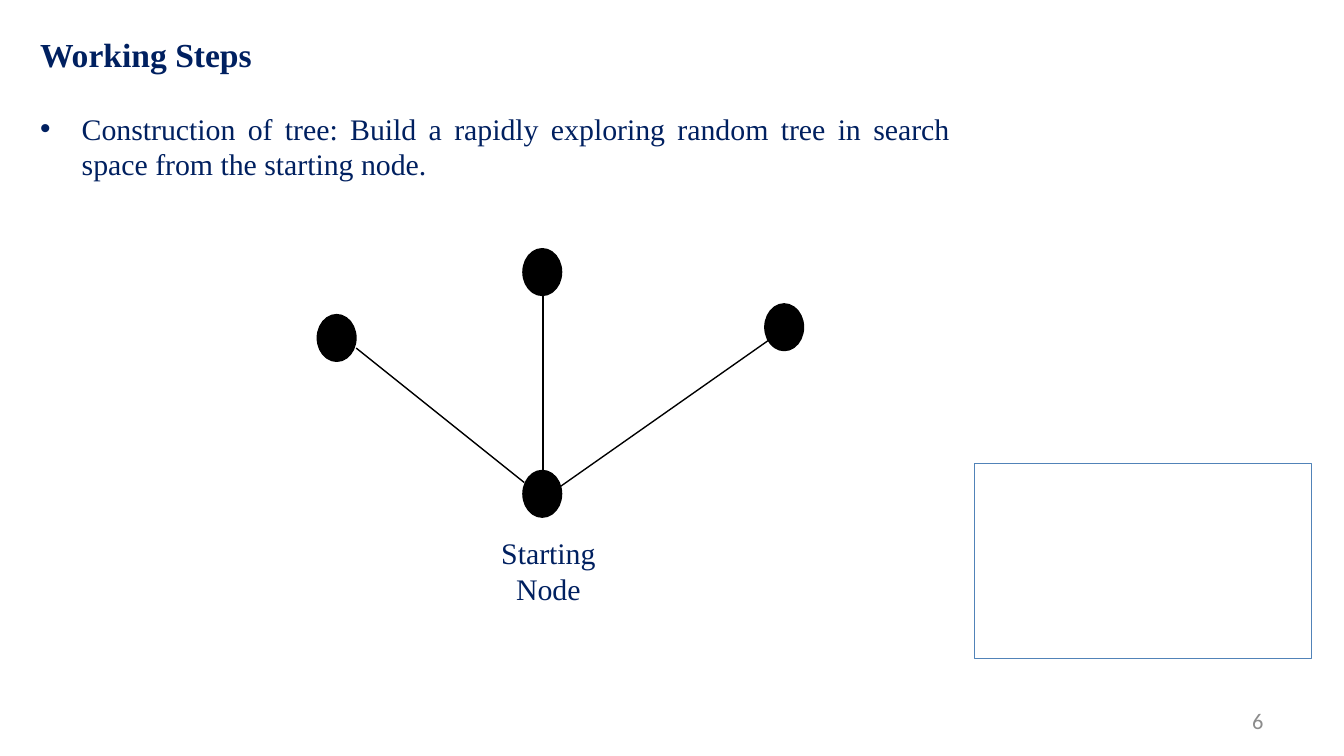
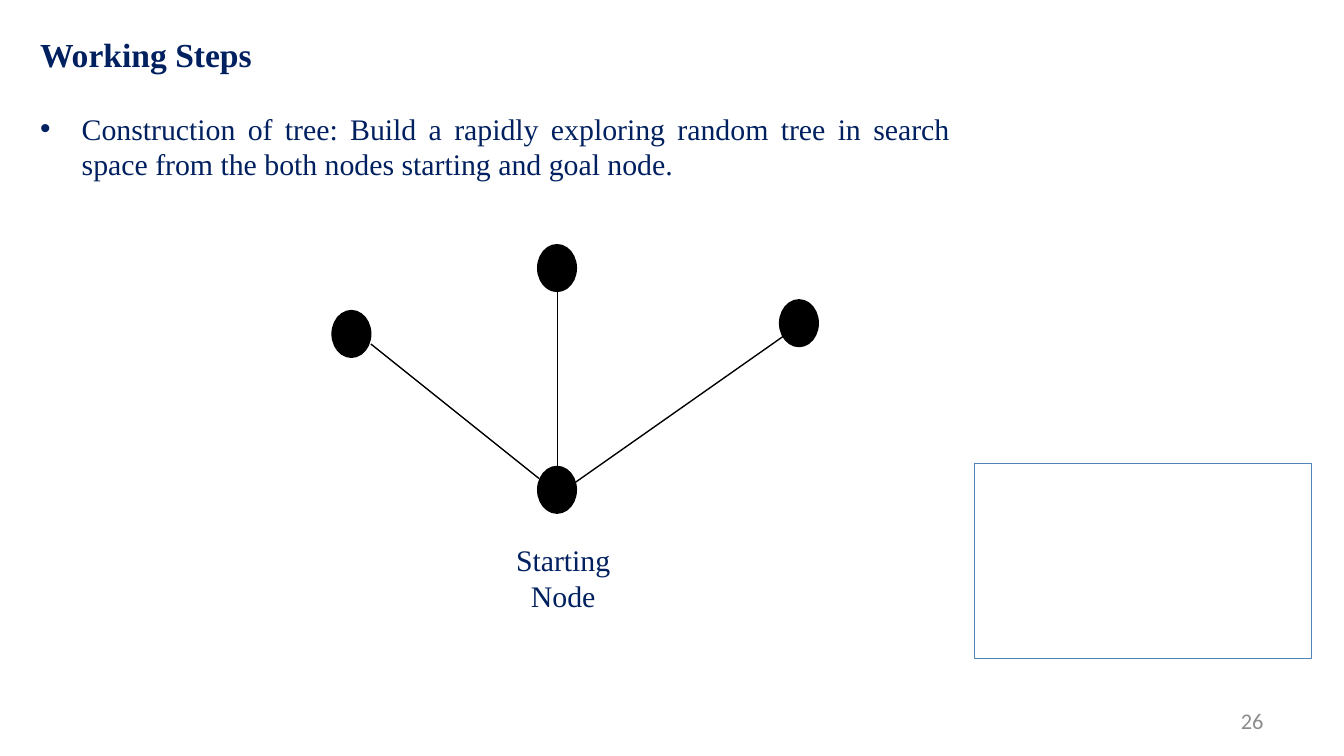
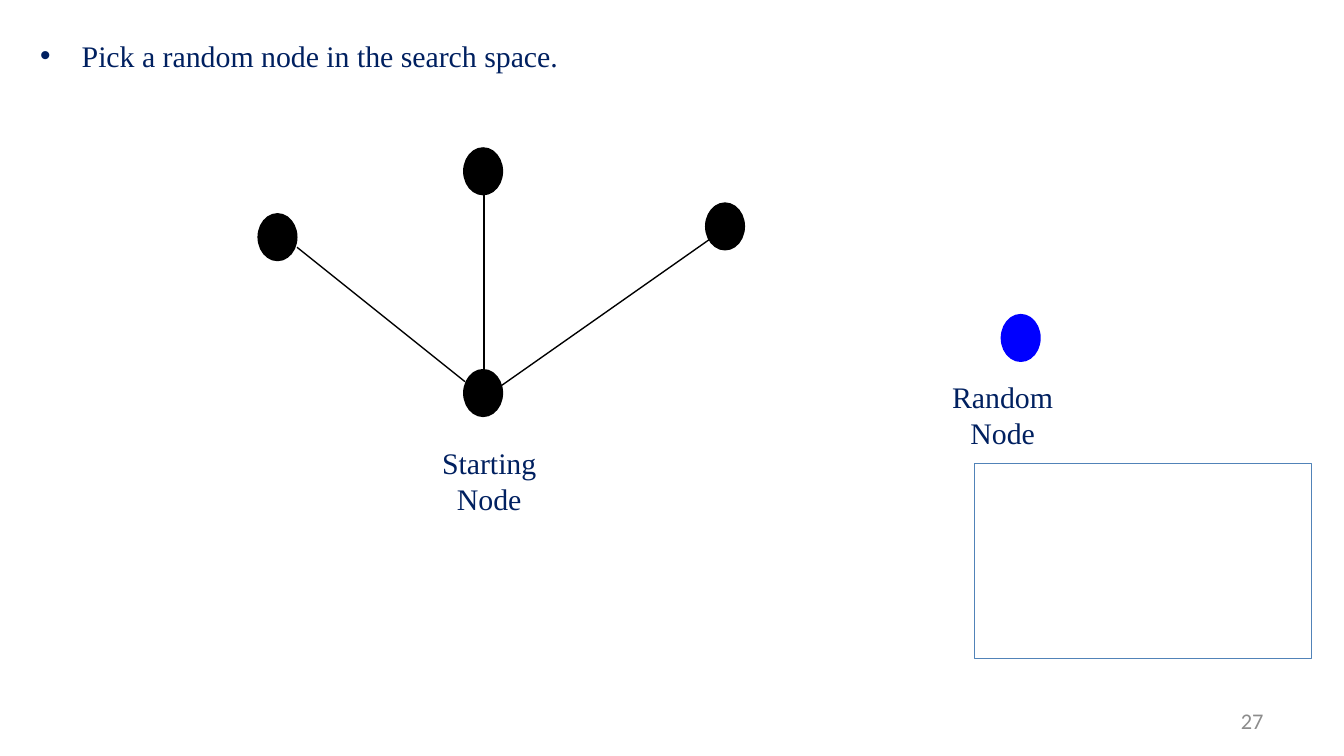
"""Build three slides on the working steps of a random tree search."""
from dataclasses import dataclass

from lxml import etree
from pptx import Presentation
from pptx import util as u
from pptx.dml.color import RGBColor
from pptx.enum import shapes, text
from pptx.oxml import ns


@dataclass(frozen=True)
class Theme:
    """Colours, fonts and type sizes shared by the slides."""
    navy: RGBColor = RGBColor(0x00, 0x20, 0x60)
    black: RGBColor = RGBColor(0x00, 0x00, 0x00)
    blue: RGBColor = RGBColor(0x00, 0x00, 0xFF)
    frame: RGBColor = RGBColor(0x51, 0x83, 0xB8)
    grey: RGBColor = RGBColor(0x8C, 0x8C, 0x8C)
    body_font: str = "Times New Roman"
    number_font: str = "Calibri"
    title_size: int = 18
    body_size: int = 16
    number_size: int = 12
    heading_gap: float = 19.5


THEME = Theme()
NODE_SIZE = (0.27, 0.33)
LABEL_HEIGHT = 0.64
BULLET_INDENT = 0.31
BRANCH_NODES = ((1.8, -1.24), (0, -1.65), (-1.53, -1.16))
BRANCH_LINES = (
    ((0.14, 0), (0.14, -1.33)),
    ((0.27, 0.11), (1.85, -1.0)),
    ((0, 0.08), (-1.25, -0.92)),
)


def inches(*lengths):
    """Convert several lengths to inches."""
    return [u.Inches(length) for length in lengths]


def format_runs(paragraph, size, color=THEME.navy, font=THEME.body_font, bold=False):
    """Apply one type style to all runs of a paragraph."""
    for run in paragraph.runs:
        run.font.size = u.Pt(size)
        run.font.color.rgb = color
        run.font.name = font
        run.font.bold = bold


def add_text_box(slide, left, top, width, height):
    """Add a wrapping text box and return its text frame."""
    frame = slide.shapes.add_textbox(*inches(left, top, width, height)).text_frame
    frame.word_wrap = True
    return frame


def add_bullet(paragraph):
    """Give a paragraph a round bullet and a hanging indent."""
    properties = paragraph._p.get_or_add_pPr()
    properties.set("marL", str(u.Inches(BULLET_INDENT)))
    properties.set("indent", str(-u.Inches(BULLET_INDENT)))
    etree.SubElement(properties, ns.qn("a:buFont")).set("typeface", "Arial")
    etree.SubElement(properties, ns.qn("a:buChar")).set("char", "•")


def add_step(slide, step, top, height, title=None):
    """Add the step text as a bullet, below a title if there is one."""
    frame = add_text_box(slide, 0.2, top, 6.97, height)
    frame.auto_size = text.MSO_AUTO_SIZE.SHAPE_TO_FIT_TEXT
    paragraph = frame.paragraphs[0]
    if title:
        paragraph.text = title
        paragraph.alignment = text.PP_ALIGN.JUSTIFY
        format_runs(paragraph, THEME.title_size, bold=True)
        paragraph = frame.add_paragraph()
        paragraph.space_before = u.Pt(THEME.heading_gap)
    paragraph.text = step
    paragraph.alignment = text.PP_ALIGN.JUSTIFY
    format_runs(paragraph, THEME.body_size)
    add_bullet(paragraph)


def add_label(slide, label, left, top, width):
    """Add a centred node label."""
    frame = add_text_box(slide, left, top, width, LABEL_HEIGHT)
    frame.auto_size = text.MSO_AUTO_SIZE.SHAPE_TO_FIT_TEXT
    frame.text = label
    paragraph = frame.paragraphs[0]
    paragraph.alignment = text.PP_ALIGN.CENTER
    format_runs(paragraph, THEME.body_size)


def add_node(slide, left, top, color=THEME.black):
    """Add a filled round node."""
    node = slide.shapes.add_shape(
        shapes.MSO_SHAPE.FLOWCHART_CONNECTOR, *inches(left, top, *NODE_SIZE))
    node.shadow.inherit = False
    node.fill.solid()
    node.fill.fore_color.rgb = color
    node.line.color.rgb = color
    node.line.width = u.Pt(2)


def add_branch_line(slide, start, end):
    """Add a thin line between two points."""
    line = slide.shapes.add_connector(
        shapes.MSO_CONNECTOR.STRAIGHT, *inches(*start, *end))
    line.line.color.rgb = THEME.black
    line.line.width = u.Pt(0.75)
    etree.SubElement(line._element.spPr, ns.qn("a:effectLst"))


def add_tree(slide, left, top, label_drop):
    """Add the tree whose starting node is at the given place."""
    for ends in BRANCH_LINES:
        add_branch_line(slide, *[(left + x, top + y) for x, y in ends])
    for x, y in ((0, 0), *BRANCH_NODES):
        add_node(slide, left + x, top + y)
    add_label(slide, "Starting Node", left - 0.28, top + label_drop, 0.92)


def add_base_slide(presentation, number):
    """Add a blank slide with the shared frame and slide number."""
    slide = presentation.slides.add_slide(presentation.slide_layouts[6])
    panel = slide.shapes.add_shape(
        shapes.MSO_SHAPE.RECTANGLE, *inches(7.25, 3.45, 2.51, 1.45))
    panel.shadow.inherit = False
    panel.fill.background()
    panel.line.color.rgb = THEME.frame
    panel.line.width = u.Pt(0.25)
    frame = add_text_box(slide, 7.17, 5.21, 2.33, 0.3)
    frame.vertical_anchor = text.MSO_ANCHOR.MIDDLE
    frame.text = str(number)
    paragraph = frame.paragraphs[0]
    paragraph.alignment = text.PP_ALIGN.RIGHT
    format_runs(paragraph, THEME.number_size, THEME.grey, THEME.number_font)
    return slide


def add_construction_slide(presentation, number, source, root, label_drop):
    """Add a titled slide on building the tree from the given source."""
    slide = add_base_slide(presentation, number)
    step = ("Construction of tree: Build a rapidly exploring random tree "
            f"in search space from the {source}.")
    add_step(slide, step, 0.2, 1.21, "Working Steps")
    add_tree(slide, *root, label_drop)


def add_random_node_slide(presentation, number):
    """Add the slide on picking a random node."""
    slide = add_base_slide(presentation, number)
    add_step(slide, "Pick a random node in the search space.", 0.23, 0.37)
    add_tree(slide, 3.46, 2.76, 0.5)
    add_node(slide, 7.46, 2.35, THEME.blue)
    add_label(slide, "Random Node", 6.95, 2.77, 1.02)


def main():
    """Build and save the presentation."""
    presentation = Presentation()
    presentation.slide_width = u.Inches(10)
    presentation.slide_height = u.Inches(10 * 9 / 16)
    add_construction_slide(presentation, 6, "starting node", (3.9, 3.51), 0.42)
    add_construction_slide(
        presentation, 26, "both nodes starting and goal node", (4.01, 3.48), 0.5)
    add_random_node_slide(presentation, 27)
    presentation.save("out.pptx")


if __name__ == "__main__":
    main()
